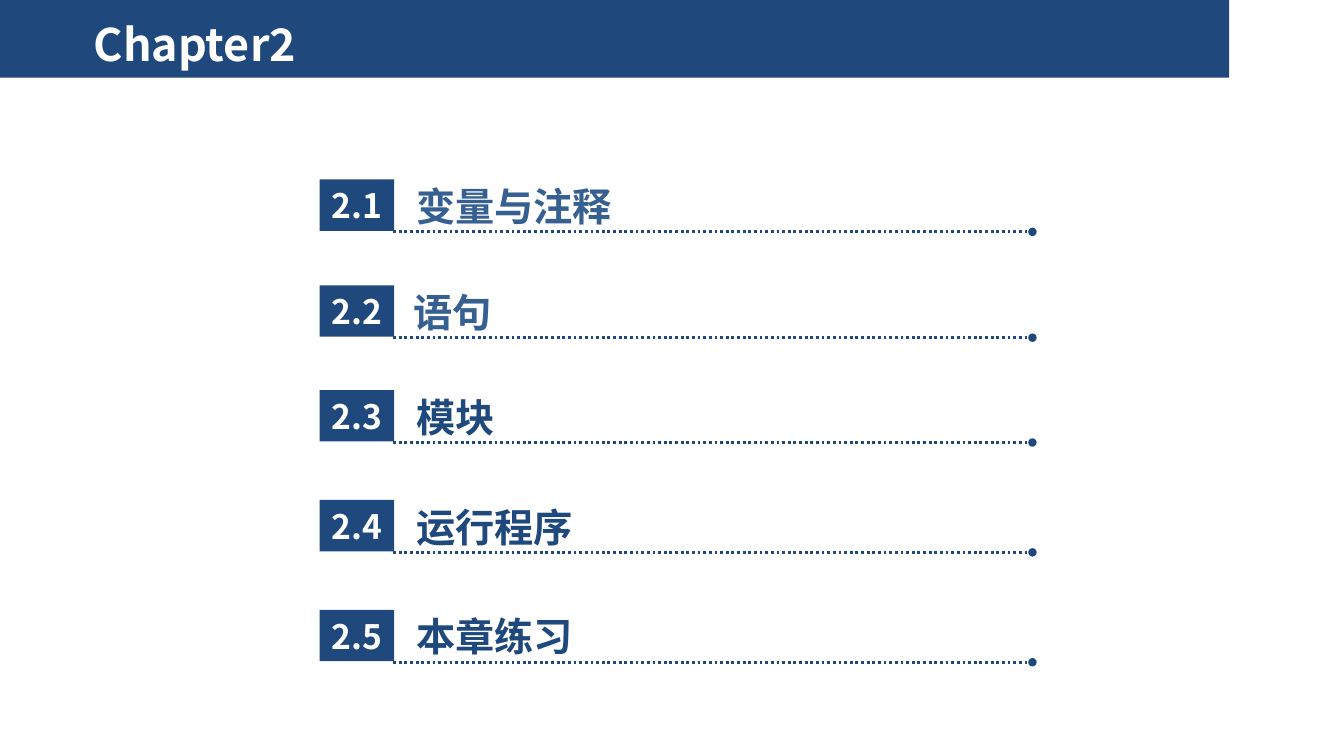
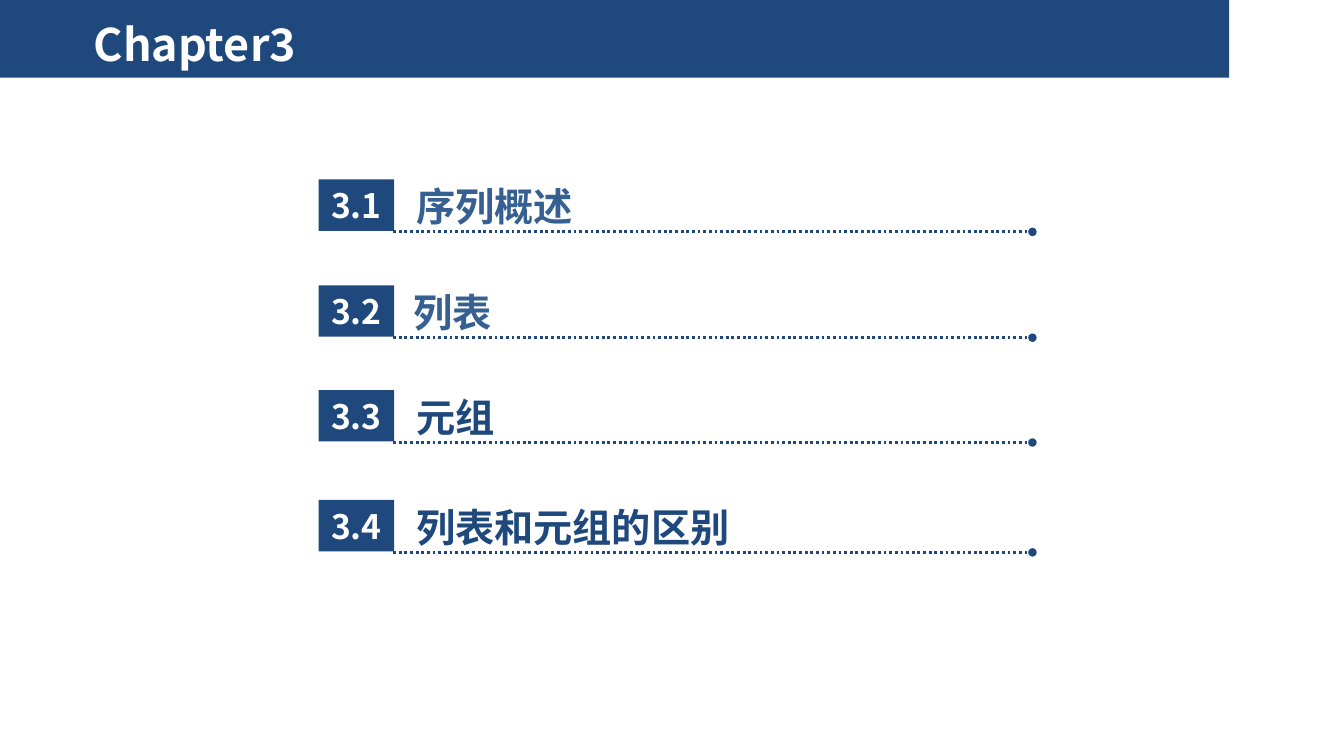
"""Build the two chapter contents slides."""
from pptx import Presentation
from pptx.dml.color import RGBColor
from pptx.enum.dml import MSO_LINE
from pptx.enum.shapes import MSO_CONNECTOR, MSO_SHAPE
from pptx.enum.text import MSO_ANCHOR as Anchor, MSO_AUTO_SIZE as AutoSize, PP_ALIGN as Align
from pptx.oxml.ns import qn
from pptx.util import Inches, Pt
from lxml.etree import SubElement

FONT = "Noto Sans CJK SC"
NAVY, BLUE, WHITE = "1F497D", "376092", "FFFFFF"
BADGE_TOPS = (1.78, 2.83, 3.87, 4.96, 6.05)
LABEL_LEFTS = (4.03, 4, 4.03, 4.03, 4.03)
LABEL_COLORS = (BLUE, BLUE, NAVY, NAVY, NAVY)
BADGE_RIGHT, BADGE_HEIGHT = 3.91, 0.51
RULE_LEFT, RULE_WIDTH = 3.9, 6.34
CHAPTERS = (
    (2, 0.74, ("变量与注释", "语句", "模块", "运行程序", "本章练习")),
    (3, 0.75, ("序列概述", "列表", "元组", "列表和元组的区别")),
)


def rgb(value):
    """Turn a hex string into a colour."""
    return RGBColor.from_string(value)


def write(frame, text, size, color, align=Align.LEFT):
    """Write one bold run into a text frame."""
    para = frame.paragraphs[0]
    para.alignment = align
    span = para.add_run()
    span.text = text
    span.font.size = Pt(size)
    span.font.bold = True
    span.font.name = FONT
    span.font.color.rgb = rgb(color)
    SubElement(span._r.get_or_add_rPr(), qn("a:ea"), typeface=FONT)


def add_block(page, left, top, width, height):
    """Add a plain navy rectangle."""
    block = page.shapes.add_shape(
        MSO_SHAPE.RECTANGLE, Inches(left), Inches(top), Inches(width), Inches(height))
    block.shadow.inherit = False
    block.fill.solid()
    block.fill.fore_color.rgb = rgb(NAVY)
    block.line.fill.background()
    return block


def add_badge(page, number, top, width):
    """Add a numbered section badge."""
    badge = add_block(page, BADGE_RIGHT - width, top, width, BADGE_HEIGHT)
    badge.text_frame.vertical_anchor = Anchor.MIDDLE
    write(badge.text_frame, number, 24, WHITE, Align.CENTER)


def add_label(page, text, left, top, color):
    """Add a section name."""
    box = page.shapes.add_textbox(Inches(left), Inches(top), Inches(6.15), Inches(0.57))
    box.text_frame.word_wrap = True
    box.text_frame.auto_size = AutoSize.SHAPE_TO_FIT_TEXT
    write(box.text_frame, text, 28, color)


def add_rule(page, top):
    """Add a dotted rule that ends in a round dot."""
    rule = page.shapes.add_connector(
        MSO_CONNECTOR.STRAIGHT, Inches(RULE_LEFT), Inches(top),
        Inches(RULE_LEFT + RULE_WIDTH), Inches(top))
    rule.line.color.rgb = rgb(NAVY)
    rule.line.width = Pt(2)
    rule.line.dash_style = MSO_LINE.ROUND_DOT
    SubElement(rule.get_or_add_ln(), qn("a:tailEnd"), type="oval")
    SubElement(rule.element.spPr, qn("a:effectLst"))


def set_title(page, text):
    """Place and write the slide title."""
    title = page.shapes.title
    title.left, title.top = Inches(0.83), Inches(0.08)
    title.width, title.height = Inches(11.35), Inches(0.7)
    title.text_frame.vertical_anchor = Anchor.MIDDLE
    title.text_frame.auto_size = AutoSize.NONE
    write(title.text_frame, text, 32, WHITE)


def add_chapter(deck, layout, chapter, badge_width, sections):
    """Add the contents slide of one chapter."""
    page = deck.slides.add_slide(layout)
    set_title(page, f"Chapter{chapter}")
    rows = zip(sections, BADGE_TOPS, LABEL_LEFTS, LABEL_COLORS)
    for index, (text, top, left, color) in enumerate(rows, start=1):
        add_badge(page, f"{chapter}.{index}", top, badge_width)
        add_label(page, text, left, top - 0.02, color)
        add_rule(page, top + 0.52)
    return page


def main():
    """Build and save the deck."""
    deck = Presentation()
    deck.slide_width, deck.slide_height = Inches(13.33), Inches(7.5)
    layout = deck.slide_layouts.get_by_name("Title Only")
    pages = [add_chapter(deck, layout, *chapter) for chapter in CHAPTERS]
    band = add_block(pages[0], 0, 0, 12.19, 0.77)
    layout.shapes.element.append(band.element)
    deck.save("out.pptx")


main()
